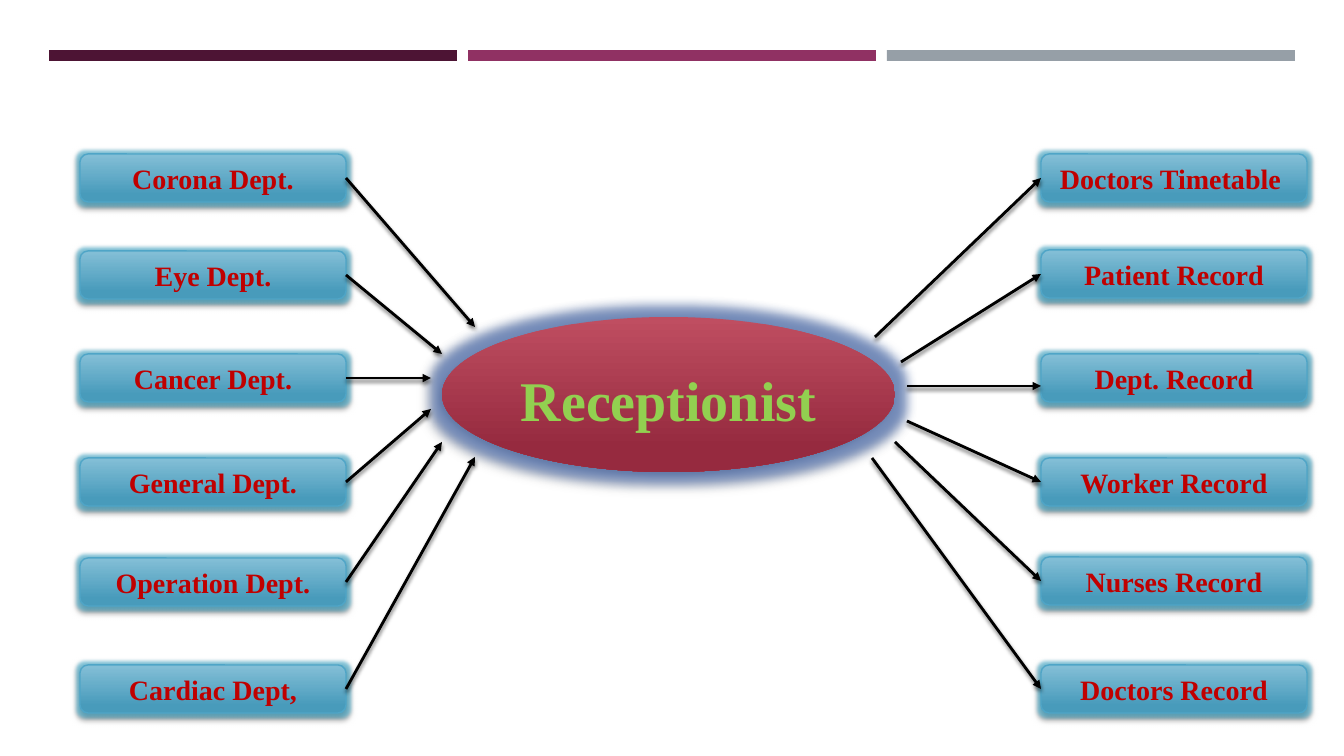
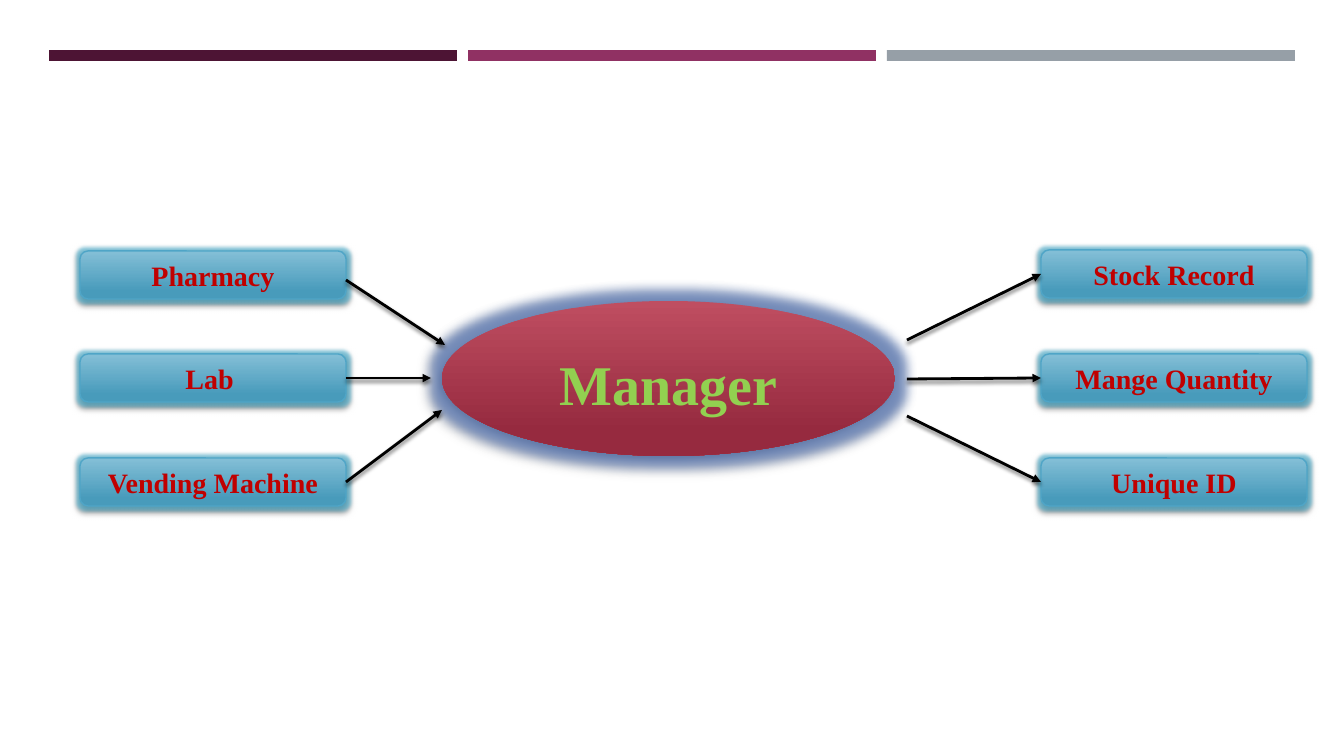
"""Build two hub diagrams that link hospital units, staff roles and records."""

from dataclasses import dataclass

from lxml.etree import SubElement
from pptx import Presentation
from pptx.dml.color import RGBColor
from pptx.enum.shapes import MSO_CONNECTOR as CONN, MSO_SHAPE as SHAPE
from pptx.enum.text import MSO_ANCHOR as ANCHOR, PP_ALIGN as ALIGN
from pptx.oxml.ns import qn
from pptx.shapes.autoshape import Shape
from pptx.slide import Slide
from pptx.util import Emu, Pt

EMU_PER_PX = 914400 / 100.8
FONT = "Times New Roman"
COLORS = {
    "plum": "4D1434",
    "magenta": "903163",
    "grey": "969FA7",
    "box_top": "84BFD7",
    "box_bottom": "489BBB",
    "box_line": "4FA5C7",
    "box_glow": "4FBBDD",
    "box_text": "C00000",
    "hub_top": "BF4E61",
    "hub_bottom": "962A3F",
    "hub_glow": "4066B1",
    "hub_text": "92D050",
    "black": "000000",
}
BANDS = ("plum", "magenta", "grey")
BAND_X, BAND_Y, BAND_W, BAND_H, BAND_STEP = 49, 50, 408, 11, 419
BOX_W, BOX_H = 266, 48
LEFT_X, RIGHT_X = 80, 1041
HUB_X, HUB_W, HUB_H = 442, 453, 155
HUB_TEXT_DROP = 15
LEFT_SIDE, RIGHT_SIDE = 1, 3


@dataclass(frozen=True)
class Shadow:
    alpha: int
    blur: int
    dist: int
    angle: int


@dataclass(frozen=True)
class Glow:
    color: str
    radius: int
    alpha: int


@dataclass(frozen=True)
class Node:
    label: str
    top: int
    hub_x: int
    hub_y: int
    slip: int = 0


@dataclass(frozen=True)
class Hub:
    label: str
    top: int
    inputs: tuple[Node, ...]
    outputs: tuple[Node, ...]


SOFT_SHADOW = Shadow(55, 3, 2, 90)
HUB_SHADOW = Shadow(40, 4, 3, 135)
BOX_GLOW = Glow("box_glow", 5, 60)
HUB_GLOW = Glow("hub_glow", 16, 60)

HUBS = (
    Hub(
        "Receptionist",
        317,
        (
            Node("Corona Dept.", 154, 475, 327),
            Node("Eye Dept.", 251, 442, 354),
            Node("Cancer Dept.", 354, 431, 378),
            Node("General Dept.", 458, 431, 409),
            Node("Operation Dept.", 558, 442, 442),
            Node("Cardiac Dept,", 665, 475, 457),
        ),
        (
            Node("Doctors Timetable ", 154, 875, 337),
            Node("Patient Record", 250, 901, 362),
            Node("Dept. Record", 354, 907, 386, 8),
            Node("Worker Record", 458, 907, 421),
            Node("Nurses Record", 557, 895, 442),
            Node("Doctors Record", 665, 872, 458),
        ),
    ),
    Hub(
        "Manager",
        301,
        (
            Node("Pharmacy", 251, 445, 345, 5),
            Node("Lab ", 354, 431, 378),
            Node("Vending Machine", 458, 442, 410),
        ),
        (
            Node("Stock Record", 250, 907, 340),
            Node("Mange Quantity", 354, 907, 379),
            Node("Unique ID", 458, 907, 416),
        ),
    ),
)


def px(n: int) -> Emu:
    """Turn whole pixels into EMU."""
    return Emu(round(n * EMU_PER_PX))


def rgb(name: str) -> RGBColor:
    """Look up a named colour."""
    return RGBColor.from_string(COLORS[name])


def add_color(parent, name: str, alpha: int) -> None:
    """Append a colour with an opacity in percent."""
    clr = SubElement(parent, qn("a:srgbClr"), val=COLORS[name])
    SubElement(clr, qn("a:alpha"), val=str(alpha * 1000))


def add_effects(effects, shadow: Shadow, glow: Glow | None = None) -> None:
    """Fill an effect list with an optional glow and a shadow."""
    if glow:
        el = SubElement(effects, qn("a:glow"), rad=str(Pt(glow.radius)))
        add_color(el, glow.color, glow.alpha)
    el = SubElement(
        effects,
        qn("a:outerShdw"),
        blurRad=str(Pt(shadow.blur)),
        dist=str(Pt(shadow.dist)),
        dir=str(shadow.angle * 60000),
        rotWithShape="0",
    )
    add_color(el, "black", shadow.alpha)


def add_shape(slide: Slide, kind: SHAPE, x: int, y: int, w: int, h: int) -> Shape:
    """Add a preset shape without line or shadow."""
    sp = slide.shapes.add_shape(kind, px(x), px(y), px(w), px(h))
    sp.shadow.inherit = False
    sp.line.fill.background()
    return sp


def style_node(sp: Shape, prefix: str, shadow: Shadow, glow: Glow) -> None:
    """Give a shape its vertical gradient and its effects."""
    sp.fill.gradient()
    sp.fill.gradient_angle = 270
    first, last = sp.fill.gradient_stops
    first.color.rgb = rgb(f"{prefix}_top")
    last.color.rgb = rgb(f"{prefix}_bottom")
    last.position = 0.84
    add_effects(sp.element.spPr.find(qn("a:effectLst")), shadow, glow)


def write_label(sp: Shape, text: str, size: int, color: str) -> None:
    """Write a centred bold label."""
    tf = sp.text_frame
    tf.text = text
    tf.word_wrap = True
    tf.vertical_anchor = ANCHOR.MIDDLE
    p = tf.paragraphs[0]
    p.alignment = ALIGN.CENTER
    font = p.runs[0].font
    font.name, font.size, font.bold = FONT, Pt(size), True
    font.color.rgb = rgb(color)


def draw_bands(slide: Slide) -> None:
    """Draw the three header bands."""
    for i, color in enumerate(BANDS):
        sp = add_shape(
            slide, SHAPE.RECTANGLE, BAND_X + i * BAND_STEP, BAND_Y, BAND_W, BAND_H
        )
        sp.fill.solid()
        sp.fill.fore_color.rgb = rgb(color)


def draw_box(slide: Slide, node: Node, x: int) -> Shape:
    """Draw one outer box."""
    sp = add_shape(slide, SHAPE.ROUNDED_RECTANGLE, x, node.top, BOX_W, BOX_H)
    style_node(sp, "box", SOFT_SHADOW, BOX_GLOW)
    sp.line.color.rgb = rgb("box_line")
    sp.line.width = Pt(1)
    write_label(sp, node.label, 20, "box_text")
    return sp


def draw_hub(slide: Slide, hub: Hub) -> None:
    """Draw the central ellipse."""
    sp = add_shape(slide, SHAPE.OVAL, HUB_X, hub.top, HUB_W, HUB_H)
    style_node(sp, "hub", HUB_SHADOW, HUB_GLOW)
    write_label(sp, hub.label, 40, "hub_text")
    sp.text_frame.margin_top = px(HUB_TEXT_DROP)


def draw_arrow(slide: Slide, node: Node, box: Shape, is_input: bool) -> None:
    """Draw the arrow between a box and the hub."""
    box_end = (
        LEFT_X + BOX_W if is_input else RIGHT_X,
        node.top + BOX_H // 2 + node.slip,
    )
    hub_end = (node.hub_x, node.hub_y)
    start, end = (box_end, hub_end) if is_input else (hub_end, box_end)
    line = slide.shapes.add_connector(CONN.STRAIGHT, *map(px, start + end))
    if not node.slip:
        if is_input:
            line.begin_connect(box, RIGHT_SIDE)
        else:
            line.end_connect(box, LEFT_SIDE)
    line.line.color.rgb = rgb("black")
    line.line.width = Pt(2)
    props = line.element.spPr
    SubElement(props.find(qn("a:ln")), qn("a:tailEnd"), type="triangle")
    add_effects(SubElement(props, qn("a:effectLst")), SOFT_SHADOW)


def draw_slide(slide: Slide, hub: Hub) -> None:
    """Draw one whole hub diagram."""
    draw_bands(slide)
    draw_hub(slide, hub)
    for nodes, x, is_input in (
        (hub.inputs, LEFT_X, True),
        (hub.outputs, RIGHT_X, False),
    ):
        for node in nodes:
            box = draw_box(slide, node, x)
            draw_arrow(slide, node, box, is_input)


def main() -> None:
    """Build and save the presentation."""
    prs = Presentation()
    prs.slide_width, prs.slide_height = px(1344), px(756)
    for hub in HUBS:
        draw_slide(prs.slides.add_slide(prs.slide_layouts[6]), hub)
    prs.save("out.pptx")


if __name__ == "__main__":
    main()
